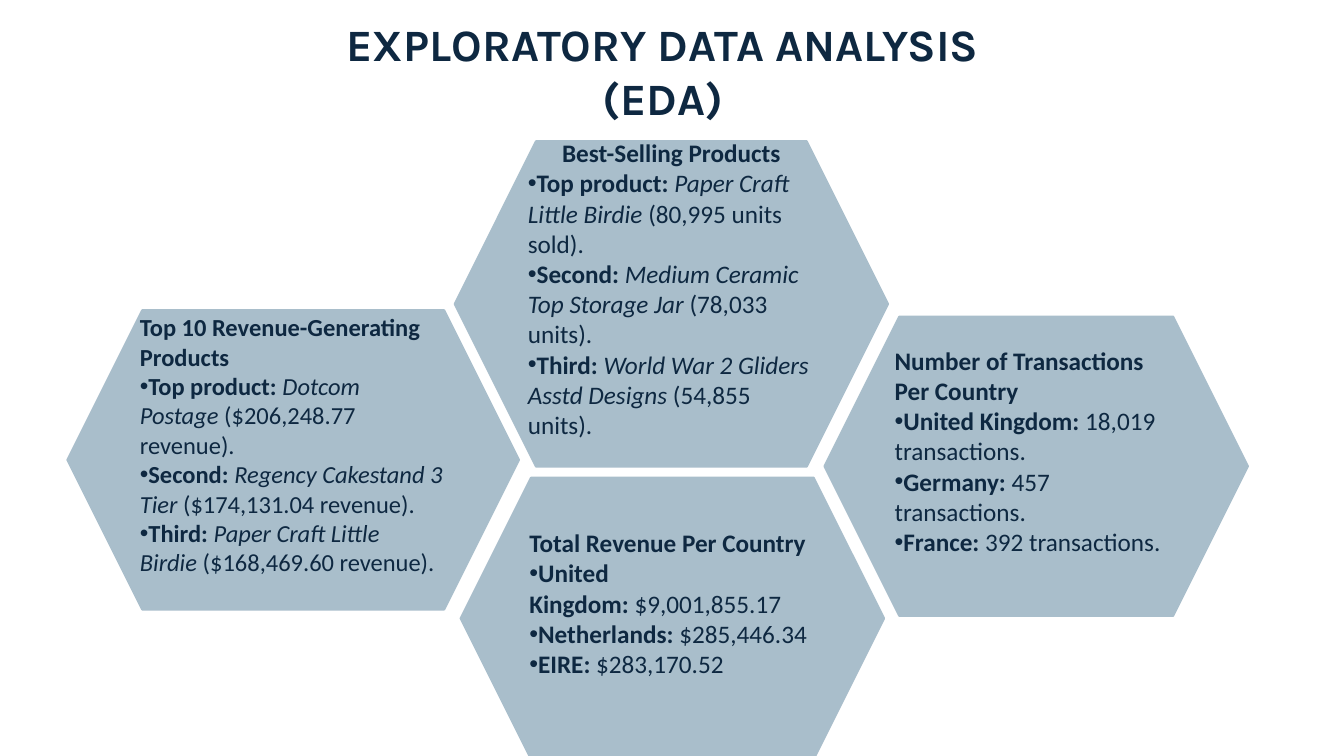
from dataclasses import dataclass

from lxml.etree import SubElement
from pptx import Presentation
from pptx.dml.color import RGBColor
from pptx.enum.shapes import MSO_SHAPE as Preset
from pptx.enum.text import MSO_ANCHOR as Anchor, PP_ALIGN as Align
from pptx.oxml.ns import qn
from pptx.util import Cm, Pt

COLORS = {"background": "FFFFFF", "hexagon": "A9BECB", "text": "0E2841"}
NO_BREAK_SPACE = chr(160)


@dataclass
class Finding:
    label: str
    detail: str
    product: str = ""


@dataclass
class Panel:
    left: float
    top: float
    width: float
    height: float
    heading: str
    findings: list[Finding]
    size: float = 18
    heading_align: Align = Align.LEFT


PANELS = [
    Panel(11.46, 3.56, 10.92, 8.2, "Best-Selling Products", [
        Finding("Top product:", "(80,995 units sold).", "Paper Craft Little Birdie"),
        Finding("Second:", "(78,033 units).", "Medium Ceramic Top Storage Jar"),
        Finding("Third:", "(54,855 units).", "World War 2 Gliders Asstd Designs"),
    ], heading_align=Align.CENTER),
    Panel(11.61, 12.04, 10.67, 7.09, "Total Revenue Per Country", [
        Finding("United Kingdom:", "$9,001,855.17"),
        Finding("Netherlands:", "$285,446.34"),
        Finding("EIRE:", "$283,170.52"),
    ]),
    Panel(1.7, 7.82, 11.38, 7.54, "Top 10 Revenue-Generating Products", [
        Finding("Top product:", "($206,248.77 revenue).", "Dotcom Postage"),
        Finding("Second:", "($174,131.04 revenue).", "Regency Cakestand 3 Tier"),
        Finding("Third:", "($168,469.60 revenue).", "Paper Craft Little Birdie"),
    ], size=17.5),
    Panel(20.78, 7.98, 10.67, 7.54, "Number of Transactions Per Country", [
        Finding("United Kingdom:", "18,019 transactions."),
        Finding("Germany:", "457 transactions."),
        Finding("France:", "392 transactions."),
    ]),
]


def color(name: str) -> RGBColor:
    return RGBColor.from_string(COLORS[name])


def add_text(paragraph, text: str, *, size: float, font: str = "Calibri",
             bold: bool = False, italic: bool = False) -> None:
    run = paragraph.add_run()
    run.text = text
    run.font.name = font
    run.font.size = Pt(size)
    run.font.bold = bold
    run.font.italic = italic
    run.font.color.rgb = color("text")


def add_bullet(paragraph) -> None:
    properties = paragraph._p.get_or_add_pPr()
    properties.set("marL", "0")
    properties.set("indent", "0")
    SubElement(properties, qn("a:buFont"), typeface="Arial")
    SubElement(properties, qn("a:buChar"), char="•")


def add_finding(frame, finding: Finding, size: float) -> None:
    paragraph = frame.add_paragraph()
    paragraph.alignment = Align.LEFT
    add_bullet(paragraph)
    add_text(paragraph, finding.label, size=size, bold=True)
    if finding.product:
        add_text(paragraph, NO_BREAK_SPACE, size=size, bold=True)
        add_text(paragraph, finding.product, size=size, italic=True)
    add_text(paragraph, NO_BREAK_SPACE + finding.detail, size=size)


def add_panel(slide, panel: Panel) -> None:
    shape = slide.shapes.add_shape(Preset.HEXAGON, Cm(panel.left), Cm(panel.top),
                                   Cm(panel.width), Cm(panel.height))
    shape.shadow.inherit = False
    shape.fill.solid()
    shape.fill.fore_color.rgb = color("hexagon")
    shape.line.color.rgb = color("hexagon")
    shape.line.width = Pt(1.5)

    # The deeper bottom margin lifts the text by half a line
    frame = shape.text_frame
    frame.word_wrap = True
    frame.vertical_anchor = Anchor.MIDDLE
    frame.margin_bottom = Cm(0.9)
    heading = frame.paragraphs[0]
    heading.alignment = panel.heading_align
    add_text(heading, panel.heading, size=panel.size, bold=True)
    for finding in panel.findings:
        add_finding(frame, finding, panel.size)


def add_title(slide, text: str) -> None:
    shape = slide.shapes.add_textbox(Cm(7.75), Cm(0.3), Cm(17.91), Cm(3))
    shape.text_frame.word_wrap = True
    paragraph = shape.text_frame.paragraphs[0]
    paragraph.alignment = Align.CENTER
    add_text(paragraph, text, size=32, font="Karla", bold=True)


def main() -> None:
    presentation = Presentation()
    presentation.slide_width = Cm(33.87)
    presentation.slide_height = Cm(19.05)
    slide = presentation.slides.add_slide(presentation.slide_layouts[6])
    slide.background.fill.solid()
    slide.background.fill.fore_color.rgb = color("background")

    # Hexagon panels, then the title
    for panel in PANELS:
        add_panel(slide, panel)
    add_title(slide, "EXPLORATORY DATA ANALYSIS (EDA)")

    presentation.save("out.pptx")


if __name__ == "__main__":
    main()
